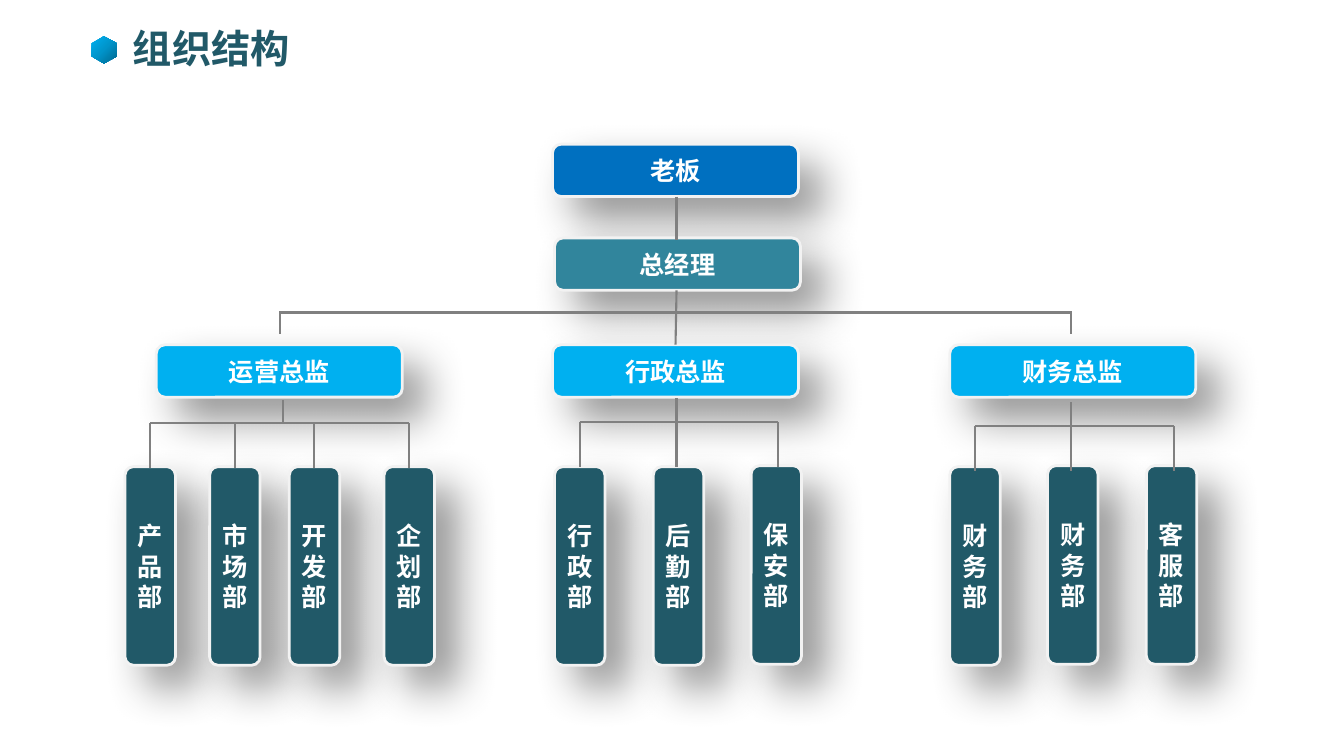
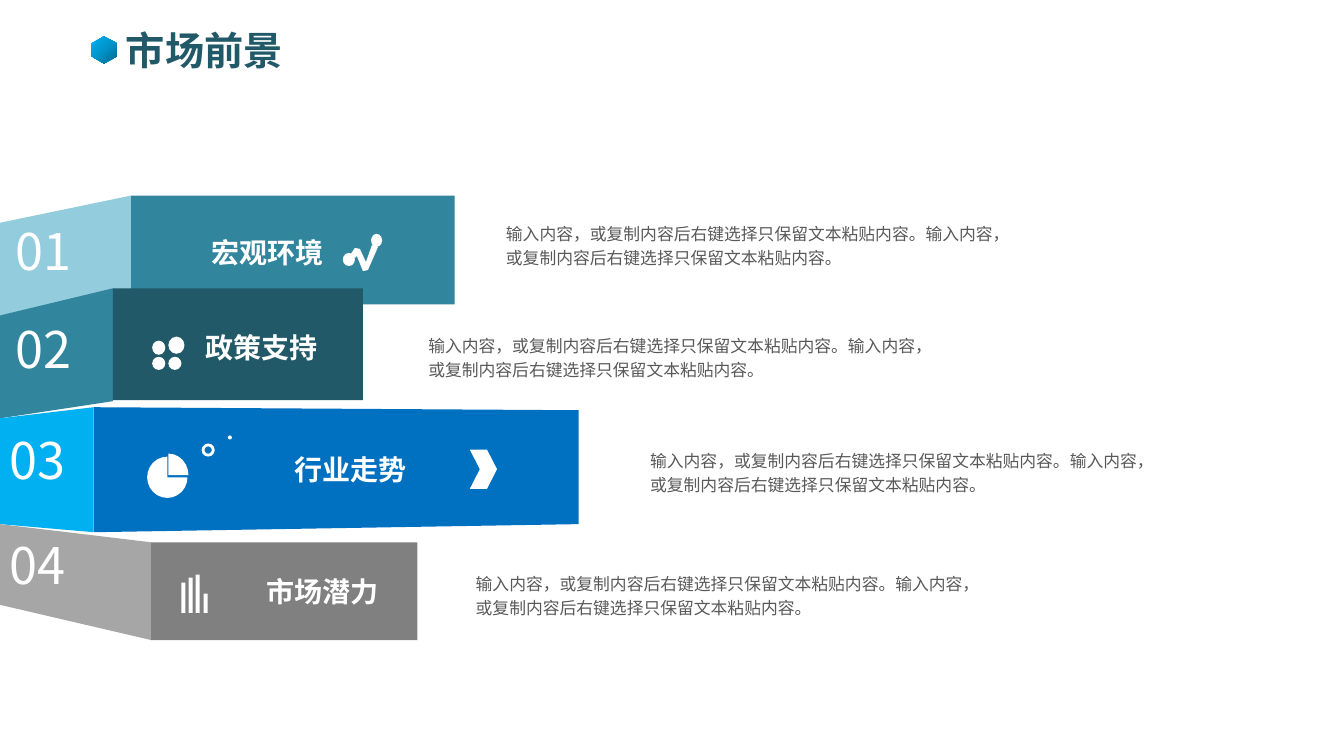
"""Build an organisation chart slide and a market outlook slide."""
from copy import deepcopy
from dataclasses import dataclass

from lxml import etree
from pptx import Presentation
from pptx.dml.color import RGBColor
from pptx.enum.shapes import MSO_CONNECTOR, MSO_SHAPE
from pptx.enum.text import MSO_ANCHOR, PP_ALIGN
from pptx.oxml.ns import qn
from pptx.util import Pt

PX = 9144
RECT = MSO_SHAPE.RECTANGLE
ROUND = MSO_SHAPE.ROUNDED_RECTANGLE
OVAL = MSO_SHAPE.OVAL
DONUT = MSO_SHAPE.DONUT
PIE = MSO_SHAPE.PIE
CHEVRON = MSO_SHAPE.CHEVRON
POLYGON = None
STRAIGHT = MSO_CONNECTOR.STRAIGHT
MIDDLE = MSO_ANCHOR.MIDDLE
LEFT, CENTER = PP_ALIGN.LEFT, PP_ALIGN.CENTER


@dataclass(frozen=True)
class Theme:
    font: str = "Noto Sans CJK SC"
    white: str = "FFFFFF"
    edge: str = "F2F2F2"
    body: str = "595959"
    gray: str = "808080"
    silver: str = "A6A6A6"
    blue: str = "0070C0"
    sky: str = "00B0F0"
    teal: str = "31859C"
    dark: str = "215968"
    pale: str = "93CDDD"
    gem: tuple = ("00B0F0", "0094CA", "00688E")
    title_pt: int = 28
    number_pt: int = 36
    heading_pt: int = 20
    box_pt: int = 18
    body_pt: int = 12


T = Theme()


def draw(s, kind, at, color, adjustments=()):
    """Add a flat preset shape, or a polygon through the given points."""
    if kind is POLYGON:
        builder = s.shapes.build_freeform(*at[0], scale=PX)
        builder.add_line_segments(at[1:], close=True)
        sp = builder.convert_to_shape()
    else:
        sp = s.shapes.add_shape(kind, *(v * PX for v in at))
    for i, value in enumerate(adjustments):
        sp.adjustments[i] = value
    sp.shadow.inherit = False
    sp.fill.solid()
    sp.fill.fore_color.rgb = RGBColor.from_string(color)
    sp.line.fill.background()
    return sp


def write(sp, text, size, color, bold=False, align=LEFT, wrap=True):
    """Set one styled paragraph in a shape."""
    tf = sp.text_frame
    tf.word_wrap = wrap
    tf.text = text
    p = tf.paragraphs[0]
    p.alignment = align
    r = p.runs[0]
    r.font.size = Pt(size)
    r.font.bold = bold
    r.font.name = T.font
    r.font.color.rgb = RGBColor.from_string(color)
    etree.SubElement(r.font._element, qn("a:ea"), typeface=T.font)
    return p


prs = Presentation()
prs.slide_width, prs.slide_height = 1333 * PX, 750 * PX

HEXAGON = [(103, 36), (116, 43), (116, 56), (103, 63), (91, 56), (91, 43)]
slides = []
for title, x, y in [("组织结构", 122, 19), ("市场前景", 115, 21)]:
    s = prs.slides.add_slide(prs.slide_layouts[6])
    slides.append(s)
    sp = draw(s, POLYGON, HEXAGON, T.sky)
    sp.fill.gradient()
    sp.fill.gradient_angle = 315
    first = sp.fill.gradient_stops[0]._gs
    first.addnext(deepcopy(first))
    for stop, color, position in zip(sp.fill.gradient_stops, T.gem, (0, 0.5, 1)):
        stop.color.rgb = RGBColor.from_string(color)
        stop.position = position
    sp = s.shapes.add_textbox(x * PX, y * PX, 291 * PX, 57 * PX)
    write(sp, title, T.title_pt, T.dark, bold=True)

org, market = slides

BOX_W, BOX_H = 244, 52
DEPT_W, DEPT_H = 50, 197
boxes = [
    ("老板", 548, 143, BOX_W, BOX_H, T.blue),
    ("总经理", 550, 236, BOX_W, BOX_H, T.teal),
]
lines = [
    (671, 195, 671, 238),
    (671, 288, 670, 342),
    (277, 310, 1062, 310),
    (278, 309, 278, 331),
    (1062, 309, 1062, 331),
]
branches = [
    ("运营总监", 155, 281, 397, 420, 464,
     [("产品部", 124, 463, 149), ("市场部", 208, 463, 233),
      ("开发部", 287, 463, 311), ("企划部", 381, 463, 406)]),
    ("行政总监", 548, 671, 395, 419, 463,
     [("行政部", 550, 463, 575), ("后勤部", 648, 463, 671),
      ("保安部", 745, 462, 772)]),
    ("财务总监", 942, 1062, 399, 423, 467,
     [("财务部", 942, 463, 967), ("财务部", 1039, 462, 1062),
      ("客服部", 1137, 462, 1164)]),
]
for director, x, stem, top, bus, bottom, depts in branches:
    boxes.append((director, x, 342, BOX_W, BOX_H, T.sky))
    lines.append((stem, top, stem, bus))
    lines.append((depts[0][3], bus, depts[-1][3], bus))
    for dept, dept_x, dept_y, drop in depts:
        boxes.append((dept, dept_x, dept_y, DEPT_W, DEPT_H, T.dark))
        lines.append((drop, bus, drop, bottom))

for text, x, y, w, h, color in boxes:
    sp = draw(org, ROUND, (x, y, w, h), color)
    sp.line.color.rgb = RGBColor.from_string(T.edge)
    sp.line.width = Pt(2)
    effects = sp.element.spPr.find(qn("a:effectLst"))
    shadow = etree.SubElement(
        effects, qn("a:outerShdw"), blurRad=str(Pt(31)), dist=str(Pt(22)),
        dir="2700000", algn="tl", rotWithShape="0")
    tint = etree.SubElement(shadow, qn("a:srgbClr"), val="000000")
    etree.SubElement(tint, qn("a:alpha"), val="41000")
    sp.text_frame.vertical_anchor = MIDDLE
    write(sp, text, T.box_pt, T.white, bold=True, align=CENTER)

for ends in lines:
    line = org.shapes.add_connector(STRAIGHT, *(v * PX for v in ends))
    line.line.color.rgb = RGBColor.from_string(T.gray)
    line.line.width = Pt(1.5)
    etree.SubElement(line._element.spPr, qn("a:effectLst"))

BODY = "输入内容，或复制内容后右键选择只保留文本粘贴内容。" * 2
TREND = [(369, 243), (363, 260), (357, 247), (352, 246), (348, 252),
         (352, 256), (354, 254), (360, 269), (365, 268), (375, 245)]
rows = [
    ("01", (6, 213), "宏观环境", (200, 229), (492, 213),
     [(POLYGON, [(0, 221), (130, 194), (130, 302), (0, 313)], T.pale),
      (RECT, (130, 194, 321, 108), T.teal),
      (OVAL, (368, 232, 11, 13), T.white),
      (OVAL, (340, 251, 12, 13), T.white),
      (POLYGON, TREND, T.white)]),
    ("02", (6, 311), "政策支持", (194, 323), (415, 324),
     [(POLYGON, [(0, 313), (112, 286), (112, 398), (0, 415)], T.teal),
      (RECT, (112, 286, 248, 111), T.dark),
      (OVAL, (151, 338, 13, 14), T.white),
      (OVAL, (167, 334, 16, 17), T.white),
      (OVAL, (151, 354, 13, 13), T.white),
      (OVAL, (167, 354, 13, 13), T.white)]),
    ("03", (0, 421), "行业走势", (282, 444), (635, 438),
     [(POLYGON, [(0, 415), (93, 404), (93, 528), (0, 520)], T.sky),
      (POLYGON, [(93, 404), (574, 407), (574, 520), (93, 528)], T.blue),
      (CHEVRON, (466, 446, 27, 39), T.white, (0.37,)),
      (DONUT, (200, 440, 13, 13), T.white, (0.22,)),
      (OVAL, (226, 432, 4, 4), T.white),
      (PIE, (146, 453, 40, 41), T.white, (0, 162)),
      (PIE, (147, 450, 40, 43), T.white, (162, 0))]),
    ("04", (0, 525), "市场潜力", (254, 565), (462, 560),
     [(POLYGON, [(0, 520), (150, 538), (150, 635), (0, 600)], T.silver),
      (RECT, (150, 538, 264, 97), T.gray)]
     + [(RECT, (x, 608 - h, 4, h), T.white)
        for x, h in [(180, 30), (187, 35), (194, 38), (202, 19)]]),
]
for number, number_at, heading, heading_at, body_at, parts in rows:
    for part in parts:
        draw(market, *part)
    for text, (x, y), w, h, size, color, bold, wrap in [
        (number, number_at, 105, 87, T.number_pt, T.white, False, True),
        (heading, heading_at, 132, 44, T.heading_pt, T.white, True, False),
        (BODY, body_at, 520, 83, T.body_pt, T.body, False, True),
    ]:
        sp = market.shapes.add_textbox(x * PX, y * PX, w * PX, h * PX)
        p = write(sp, text, size, color, bold, wrap=wrap)
        if text == BODY:
            p.line_spacing = 1.2

prs.save("out.pptx")
